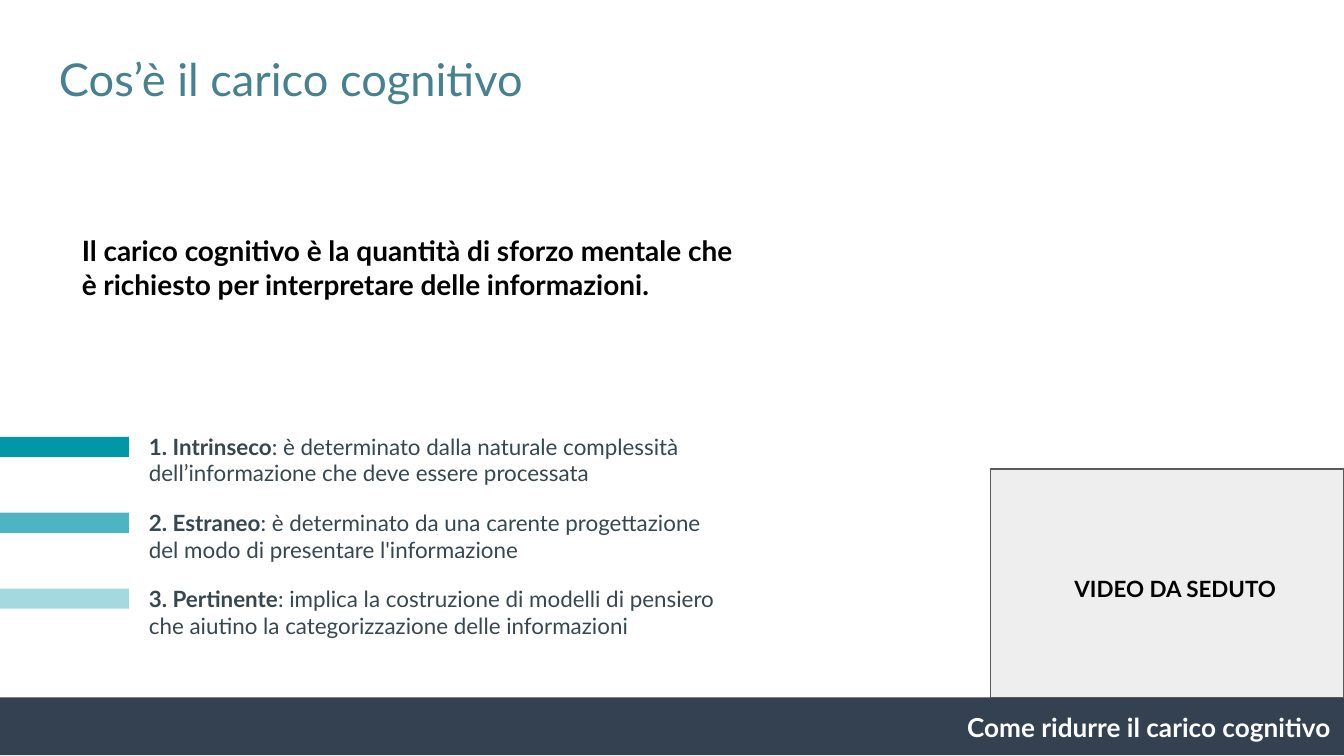
from lxml import etree
from pptx import Presentation
from pptx.dml.color import RGBColor
from pptx.enum import shapes, text
from pptx.oxml.ns import qn
from pptx.util import Inches, Pt

FONT = "Lato"
COLORS = {
    "title": "45818E",
    "body": "37474F",
    "black": "000000",
    "white": "FFFFFF",
    "footer": "334150",
    "video": "EEEEEE",
    "border": "595959",
    "accent": "0097A7",
}
LOADS = [
    ("1. Intrinseco", ": è determinato dalla naturale complessità "
     "dell’informazione che deve essere processata", 100),
    ("2. Estraneo", ": è determinato da una carente progettazione "
     "del modo di presentare l'informazione", 70),
    ("3. Pertinente", ": implica la costruzione di modelli di pensiero "
     "che aiutino la categorizzazione delle informazioni", 36),
]
LOAD_STEP = 1.13 / 2


def color(name):
    return RGBColor.from_string(COLORS[name])


def add_bar(page, left, top, width, height, fill, line=None, opacity=100):
    """Add a plain rectangle; opacity is a percentage."""
    bar = page.shapes.add_shape(
        shapes.MSO_SHAPE.RECTANGLE,
        Inches(left), Inches(top), Inches(width), Inches(height))
    bar.shadow.inherit = False
    bar.fill.solid()
    bar.fill.fore_color.rgb = color(fill)
    if opacity < 100:
        tint = bar._element.spPr.find(qn("a:solidFill"))[0]
        etree.SubElement(tint, qn("a:alpha"), val=str(opacity * 1000))
    if line:
        bar.line.color.rgb = color(line)
        bar.line.width = Pt(0.75)
    else:
        bar.line.fill.background()


def add_frame(page, left, top, width, height):
    """Add an empty wrapping text box and return its text frame."""
    box = page.shapes.add_textbox(
        Inches(left), Inches(top), Inches(width), Inches(height))
    frame = box.text_frame
    frame.word_wrap = True
    frame.vertical_anchor = text.MSO_ANCHOR.TOP
    frame.margin_left = frame.margin_right = Inches(0.1)
    frame.margin_top = frame.margin_bottom = Inches(0.1)
    return frame


def set_font(para, size, tone, bold=None):
    para.font.name = FONT
    para.font.size = Pt(size)
    para.font.color.rgb = color(tone)
    para.font.bold = bold


def add_label(page, place, words, size, tone, bold=True,
              align=text.PP_ALIGN.LEFT):
    para = add_frame(page, *place).paragraphs[0]
    para.text = words
    para.alignment = align
    set_font(para, size, tone, bold)


def add_load_list(page):
    frame = add_frame(page, 1.01, 3.12, 4.53, 1.76)
    for index, (name, meaning, opacity) in enumerate(LOADS):
        para = frame.add_paragraph() if index else frame.paragraphs[0]
        if index:
            para.space_before = Pt(12)
        set_font(para, 12, "body")
        for words, bold in ((name, True), (meaning, False)):
            span = para.add_run()
            span.text = words
            span.font.bold = bold
        add_bar(page, 0, 3.25 + LOAD_STEP * index, 0.96, 0.15, "accent",
                opacity=opacity)


def main():
    deck = Presentation()
    deck.slide_width = Inches(10)
    deck.slide_height = Inches(10 * 9 / 16)
    page = deck.slides.add_slide(deck.slide_layouts[6])

    add_label(page, (0.34, 0.28, 9.32, 0.63), "Cos’è il carico cognitivo",
              24.2, "title", bold=False)
    add_load_list(page)

    add_bar(page, -0.02, 5.19, 10.02, 0.43, "footer")
    add_label(page, (4.56, 5.19, 5.44, 0.44),
              "Come ridurre il carico cognitivo", 14, "white",
              align=text.PP_ALIGN.RIGHT)

    add_bar(page, 7.37, 3.49, 2.63, 1.7, "video", line="border")
    add_label(page, (7.65, 4.18, 2.19, 0.63), "VIDEO DA SEDUTO", 12, "black",
              align=text.PP_ALIGN.CENTER)

    add_label(page, (0.51, 1.64, 5.21, 0.71),
              "Il carico cognitivo è la quantità di sforzo mentale che\v"
              "è richiesto per interpretare delle informazioni.", 15, "black")

    deck.save("out.pptx")


if __name__ == "__main__":
    main()
